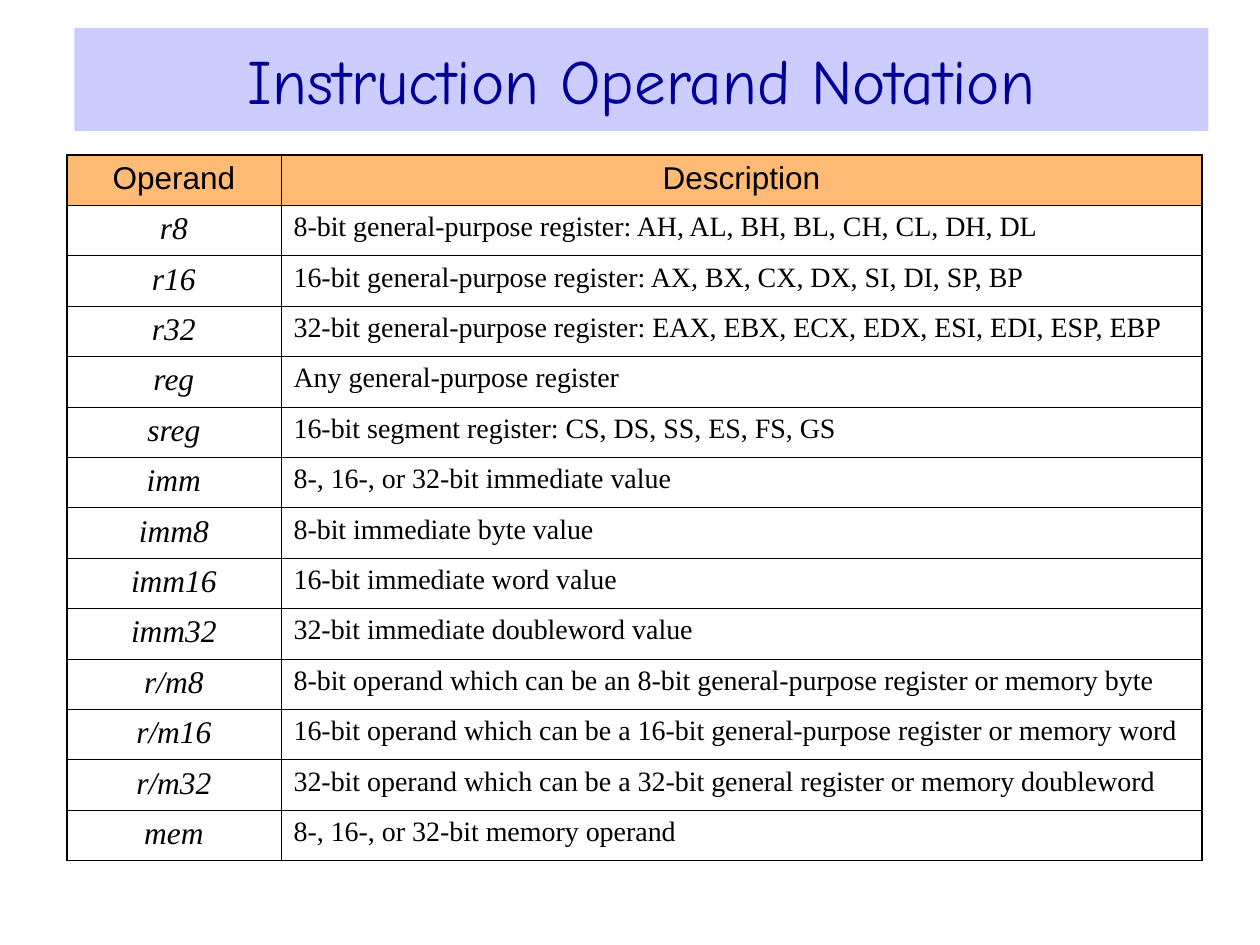
import pptx
import pptx.dml.color
import pptx.enum.text
import pptx.oxml
import pptx.oxml.ns
import pptx.util

RGBColor = pptx.dml.color.RGBColor
BLACK = RGBColor(0x00, 0x00, 0x00)
NAVY = RGBColor(0x00, 0x00, 0x99)
LAVENDER = RGBColor(0xCC, 0xCC, 0xFF)
ORANGE = RGBColor(0xFF, 0xBA, 0x75)
LEFT = pptx.enum.text.PP_ALIGN.LEFT
CENTER = pptx.enum.text.PP_ALIGN.CENTER

OPERANDS = [
    ("r8", "8-bit general-purpose register: AH, AL, BH, BL, CH, CL, DH, DL"),
    ("r16", "16-bit general-purpose register: AX, BX, CX, DX, SI, DI, SP, BP"),
    ("r32", "32-bit general-purpose register: EAX, EBX, ECX, EDX, ESI, EDI, ESP, EBP"),
    ("reg", "Any general-purpose register"),
    ("sreg", "16-bit segment register: CS, DS, SS, ES, FS, GS"),
    ("imm", "8-, 16-, or 32-bit immediate value"),
    ("imm8", "8-bit immediate byte value"),
    ("imm16", "16-bit immediate word value"),
    ("imm32", "32-bit immediate doubleword value"),
    ("r/m8", "8-bit operand which can be an 8-bit general-purpose register or memory byte"),
    ("r/m16", "16-bit operand which can be a 16-bit general-purpose register or memory word"),
    ("r/m32", "32-bit operand which can be a 32-bit general register or memory doubleword"),
    ("mem", "8-, 16-, or 32-bit memory operand"),
]


class SlideBuilder:
    """Holds the style and the current slide; lengths are percent of its size."""

    title_font, header_font, body_font = "Comic Neue", "Arial", "Times New Roman"
    outer_line, inner_line = 1.08, 0.45

    def __init__(self, presentation):
        self.width = presentation.slide_width
        self.height = presentation.slide_height
        self.slide = presentation.slides.add_slide(presentation.slide_layouts[5])

    def across(self, percent):
        return round(self.width * percent / 100)

    def down(self, percent):
        return round(self.height * percent / 100)

    def box(self, left, top, width, height):
        return self.across(left), self.down(top), self.across(width), self.down(height)

    def add_text(self, text_frame, text, size, font, color=BLACK, italic=False, align=CENTER):
        paragraph = text_frame.paragraphs[0]
        paragraph.alignment = align
        run = paragraph.add_run()
        run.text = text
        run.font.size = pptx.util.Pt(size)
        run.font.name = font
        run.font.italic = italic
        run.font.bold = False
        run.font.color.rgb = color

    def title(self, text, *area):
        shape = self.slide.shapes.title
        shape.left, shape.top, shape.width, shape.height = self.box(*area)
        shape.fill.solid()
        shape.fill.fore_color.rgb = LAVENDER
        shape.text_frame.auto_size = pptx.enum.text.MSO_AUTO_SIZE.NONE
        shape.text_frame.vertical_anchor = pptx.enum.text.MSO_ANCHOR.MIDDLE
        self.add_text(shape.text_frame, text, 36, self.title_font, NAVY)

    def borders(self, cell, outer_sides):
        properties = cell._tc.get_or_add_tcPr()
        for side in "LRTB":
            points = self.outer_line if side in outer_sides else self.inner_line
            properties.append(pptx.oxml.parse_xml(
                f'<a:ln{side} {pptx.oxml.ns.nsdecls("a")} w="{pptx.util.Pt(points)}">'
                f'<a:solidFill><a:srgbClr val="{BLACK}"/></a:solidFill></a:ln{side}>'))

    def table(self, header, rows, column_shares, *area):
        lines = [header, *rows]
        left, top, width, height = self.box(*area)
        table = self.slide.shapes.add_table(
            len(lines), len(header), left, top, width, height).table
        table.first_row = table.horz_banding = False
        for column, share in zip(table.columns, column_shares):
            column.width = self.across(share)

        for row_index, line in enumerate(lines):
            for column_index, text in enumerate(line):
                cell = table.cell(row_index, column_index)
                outer_sides = "R" if column_index else "L"
                if row_index == 0:
                    outer_sides += "T"
                elif row_index == len(rows):
                    outer_sides += "B"
                self.borders(cell, outer_sides)

                # Header row, operand symbols, then descriptions
                if row_index == 0:
                    cell.fill.solid()
                    cell.fill.fore_color.rgb = ORANGE
                    self.add_text(cell.text_frame, text, 18, self.header_font)
                    continue
                cell.fill.background()
                if column_index == 0:
                    self.add_text(cell.text_frame, text, 18, self.body_font, italic=True)
                else:
                    self.add_text(cell.text_frame, text, 16, self.body_font, align=LEFT)


def main():
    presentation = pptx.Presentation()
    presentation.slide_width = pptx.util.Inches(10)
    presentation.slide_height = pptx.util.Inches(7.5)
    builder = SlideBuilder(presentation)

    # Title band
    builder.title("Instruction Operand Notation", 5.9, 2.95, 90, 10.9)

    # Operand table
    builder.table(("Operand", "Description"), OPERANDS, (17, 73.1),
                  5.3, 16.4, 90.1, 74.7)

    presentation.save("out.pptx")


if __name__ == "__main__":
    main()
